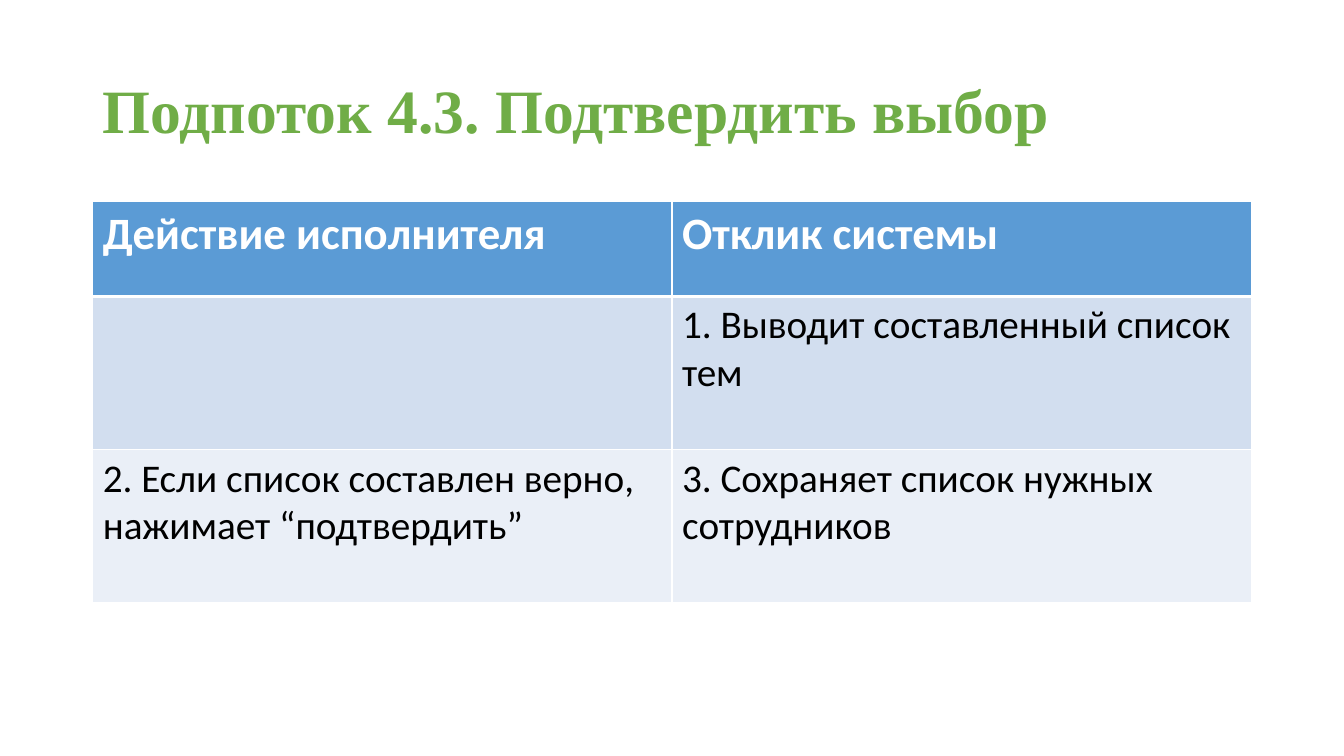
from dataclasses import dataclass

from lxml import etree
from pptx import Presentation
from pptx.dml.color import RGBColor
from pptx.enum import text
from pptx.oxml import ns
from pptx.util import Inches, Pt

WHITE = RGBColor(0xFF, 0xFF, 0xFF)
BLACK = RGBColor(0x00, 0x00, 0x00)
GREEN = RGBColor(0x70, 0xAD, 0x47)
BLUE = RGBColor(0x5B, 0x9B, 0xD5)
PALE_BLUE = RGBColor(0xD2, 0xDE, 0xEF)
PALEST_BLUE = RGBColor(0xEA, 0xEF, 0xF7)

WIDTH, HEIGHT = Inches(13.33), Inches(7.5)
MARGIN = round(WIDTH * 0.069)
CONTENT_WIDTH = WIDTH - 2 * MARGIN


@dataclass(frozen=True)
class TextStyle:
    font: str
    size: int
    color: RGBColor
    bold: bool = False


@dataclass(frozen=True)
class FlowRow:
    actor: str
    system: str
    height: float  # inches
    fill: RGBColor
    style: TextStyle
    rule_below: int = 1  # points


TITLE = TextStyle("Times New Roman", 44, GREEN, True)
HEADER = TextStyle("Calibri", 32, WHITE, True)
BODY = TextStyle("Calibri", 28, BLACK)

FLOW = [
    FlowRow("Действие исполнителя", "Отклик системы", 0.94, BLUE, HEADER, 3),
    FlowRow("", "1. Выводит составленный список тем", 1.52, PALE_BLUE, BODY),
    FlowRow("2. Если список соcтавлен верно, нажимает “подтвердить”",
            "3. Сохраняет список нужных сотрудников", 1.52, PALEST_BLUE, BODY),
]


def write(frame, words: str, style: TextStyle):
    paragraph = frame.paragraphs[0]
    paragraph.text = words
    font = paragraph.font
    font.name, font.size, font.bold = style.font, Pt(style.size), style.bold
    font.color.rgb = style.color
    return paragraph


def set_borders(cell, top: int, bottom: int) -> None:
    """Draw white rules around a cell; they must precede its fill in the XML."""
    properties = cell._tc.get_or_add_tcPr()
    sides = {"lnL": 1, "lnR": 1, "lnT": top, "lnB": bottom}
    for index, (side, points) in enumerate(sides.items()):
        line = etree.Element(ns.qn(f"a:{side}"), w=str(Pt(points)))
        fill = etree.SubElement(line, ns.qn("a:solidFill"))
        etree.SubElement(fill, ns.qn("a:srgbClr"), val=str(WHITE))
        properties.insert(index, line)


def add_title(slide, words: str) -> None:
    box = slide.shapes.add_textbox(MARGIN, round(HEIGHT * 0.053),
                                   CONTENT_WIDTH, round(HEIGHT * 0.193))
    frame = box.text_frame
    frame.word_wrap = True
    frame.vertical_anchor = text.MSO_ANCHOR.MIDDLE
    write(frame, words, TITLE).line_spacing = 0.9


def add_flow_table(slide, flow: list[FlowRow]) -> None:
    total = Inches(sum(row.height for row in flow))
    table = slide.shapes.add_table(len(flow), 2, MARGIN, round(HEIGHT * 0.267),
                                   CONTENT_WIDTH, total).table
    rule_above = 1
    for table_row, row in zip(table.rows, flow):
        table_row.height = Inches(row.height)
        for cell, words in zip(table_row.cells, (row.actor, row.system)):
            cell.fill.solid()
            cell.fill.fore_color.rgb = row.fill
            set_borders(cell, rule_above, row.rule_below)
            write(cell.text_frame, words, row.style)
        rule_above = row.rule_below


def main() -> None:
    deck = Presentation()
    deck.slide_width, deck.slide_height = WIDTH, HEIGHT
    slide = deck.slides.add_slide(deck.slide_layouts[6])
    add_title(slide, "Подпоток 4.3. Подтвердить выбор")
    add_flow_table(slide, FLOW)
    deck.save("out.pptx")


if __name__ == "__main__":
    main()
